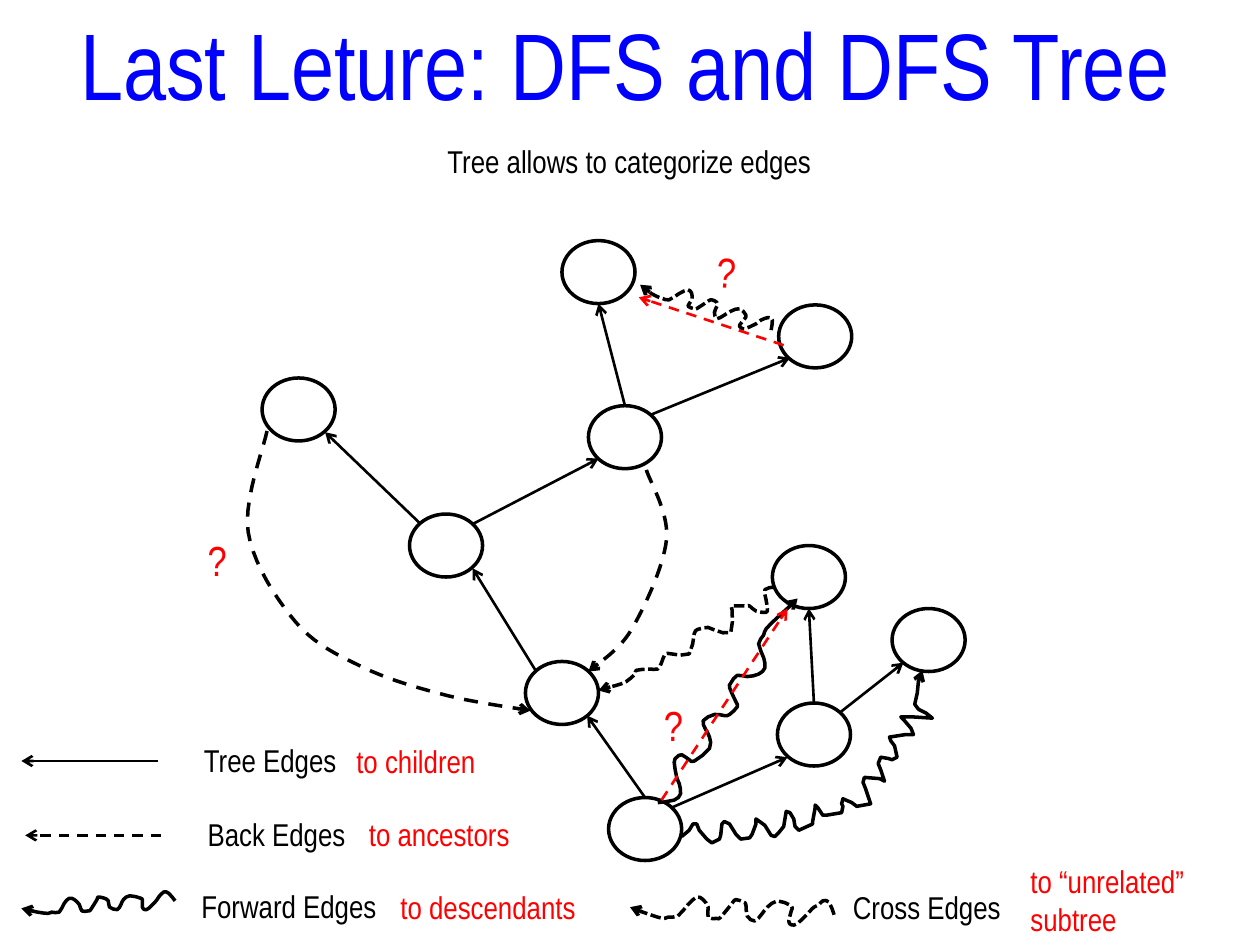
import math
from dataclasses import dataclass

import pptx
import pptx.dml.color
import pptx.enum.dml
import pptx.enum.shapes
import pptx.enum.text
import pptx.oxml
import pptx.oxml.ns
import pptx.util

Inches = pptx.util.Inches
RGB = pptx.dml.color.RGBColor
DASH = pptx.enum.dml.MSO_LINE.DASH
SHORT_DASH = pptx.enum.dml.MSO_LINE.SQUARE_DOT
CENTER = pptx.enum.text.PP_ALIGN.CENTER
Point = tuple[float, float]


@dataclass(frozen=True)
class Theme:
    font: str = "Arial Narrow"
    ink: RGB = RGB(0, 0, 0)
    title: RGB = RGB(0, 0, 255)
    accent: RGB = RGB(255, 0, 0)
    title_size: float = 54
    mark_size: float = 24
    body_size: float = 18
    edge: float = 1.5
    outline: float = 2


T = Theme()


@dataclass(frozen=True)
class Edge:
    start: Point
    end: Point
    color: RGB = T.ink
    dash: int | None = None


@dataclass(frozen=True)
class Curve:
    points: list[Point]
    dash: int | None = None
    rotation: float = 0


@dataclass(frozen=True)
class Label:
    text: str
    x: float
    y: float
    w: float
    h: float = 0.4
    color: RGB = T.ink
    size: float = T.body_size
    align: int | None = None
    rotation: float = 0


CURVE_POINTS = 60
NODE_W, NODE_H = 0.58, 0.5
NODES = [(4.83, 6.33), (4.17, 5.25), (3.25, 4.08), (2.08, 3), (4.67, 3.22),
         (6.18, 2.42), (4.46, 1.91), (6.17, 5.58), (7.08, 4.83), (6.13, 4.33)]

EDGES = [
    Edge((3.34, 4.16), (2.58, 3.43)), Edge((4.25, 5.32), (3.75, 4.51)),
    Edge((5.12, 6.33), (4.66, 5.68)), Edge((3.75, 4.16), (4.75, 3.64)),
    Edge((4.96, 3.22), (4.75, 2.41)), Edge((5.17, 3.29), (6.27, 2.84)),
    Edge((5.33, 6.41), (6.25, 6.01)), Edge((6.46, 5.58), (6.42, 4.83)),
    Edge((6.66, 5.66), (7.17, 5.26)),
    Edge((1.25, 6.04), (0.17, 6.04)), Edge((1.28, 6.63), (0.2, 6.63), dash=DASH),
    Edge((5.25, 6.35), (6.25, 4.83), T.accent, DASH),
    Edge((6.22, 2.74), (5.07, 2.36), T.accent, DASH),
]

BACK_LEFT = [(2.12, 3.42), (1.97, 4.22), (2.35, 4.94), (2.89, 5.3), (3.55, 5.52), (4.21, 5.64)]
BACK_RIGHT = [(5.13, 3.73), (5.29, 4.28), (5.01, 5), (4.67, 5.33)]
FORWARD_INNER = [
    (5.22, 6.37), (5.35, 6.35), (5.4, 6.3), (5.39, 6.22), (5.37, 6.17), (5.35, 6.05),
    (5.37, 6.01), (5.41, 5.99), (5.47, 6.03), (5.51, 6.04), (5.63, 5.94), (5.63, 5.85),
    (5.6, 5.79), (5.58, 5.72), (5.67, 5.67), (5.75, 5.68), (5.79, 5.67), (5.85, 5.61),
    (5.84, 5.57), (5.79, 5.46), (5.8, 5.42), (5.85, 5.36), (5.93, 5.37), (6.02, 5.35),
    (6.07, 5.3), (6.06, 5.22), (6.02, 5.11), (6.06, 5.04), (6.08, 4.99), (6.17, 4.9),
    (6.28, 4.8), (6.33, 4.75)]
FORWARD_OUTER = [
    (5.41, 6.64), (5.47, 6.59), (5.5, 6.54), (5.53, 6.54), (5.55, 6.59), (5.61, 6.66),
    (5.65, 6.69), (5.71, 6.66), (5.72, 6.63), (5.73, 6.54), (5.75, 6.52), (5.79, 6.54),
    (5.84, 6.62), (5.88, 6.66), (5.95, 6.65), (5.97, 6.62), (6, 6.54), (6, 6.5),
    (6.07, 6.55), (6.12, 6.63), (6.15, 6.64), (6.18, 6.61), (6.22, 6.56), (6.24, 6.44),
    (6.27, 6.45), (6.3, 6.5), (6.31, 6.56), (6.34, 6.59), (6.45, 6.54), (6.45, 6.52),
    (6.47, 6.41), (6.47, 6.39), (6.49, 6.41), (6.53, 6.47), (6.56, 6.47), (6.68, 6.45),
    (6.69, 6.4), (6.68, 6.38), (6.69, 6.34), (6.76, 6.37), (6.8, 6.4), (6.91, 6.38),
    (6.89, 6.32), (6.87, 6.26), (6.85, 6.21), (6.86, 6.17), (6.98, 6.18), (7.02, 6.2),
    (6.99, 6.11), (6.97, 6.06), (6.99, 6.01), (7.05, 6.02), (7.08, 6.03), (7.12, 6.01),
    (7.1, 5.92), (7.07, 5.88), (7.06, 5.85), (7.19, 5.83), (7.25, 5.83), (7.23, 5.78),
    (7.17, 5.71), (7.15, 5.69), (7.24, 5.69), (7.4, 5.7), (7.35, 5.66), (7.29, 5.63),
    (7.26, 5.59), (7.28, 5.5), (7.29, 5.4), (7.32, 5.32)]
FORWARD_KEY = [
    (1.39, 7.15), (1.34, 7.09), (1.3, 7.08), (1.26, 7.12), (1.24, 7.15), (1.18, 7.21),
    (1.15, 7.22), (1.13, 7.2), (1.13, 7.15), (1.12, 7.13), (1.03, 7.11), (0.98, 7.14),
    (0.96, 7.18), (0.93, 7.22), (0.87, 7.2), (0.86, 7.15), (0.83, 7.13), (0.78, 7.12),
    (0.77, 7.14), (0.72, 7.22), (0.7, 7.23), (0.65, 7.23), (0.63, 7.18), (0.59, 7.14),
    (0.55, 7.13), (0.51, 7.17), (0.47, 7.24), (0.41, 7.24), (0.38, 7.25), (0.3, 7.24),
    (0.21, 7.22), (0.17, 7.21)]
CROSS_LOWER = [
    (6.14, 4.66), (6.07, 4.68), (6.08, 4.76), (6.09, 4.83), (6.08, 4.86), (6, 4.85),
    (5.95, 4.81), (5.92, 4.81), (5.81, 4.81), (5.81, 4.84), (5.8, 5.02), (5.67, 5),
    (5.62, 4.98), (5.56, 4.99), (5.53, 5), (5.51, 5.03), (5.47, 5.19), (5.33, 5.19),
    (5.28, 5.19), (5.25, 5.26), (5.22, 5.31), (5.15, 5.31), (5.05, 5.32), (5.04, 5.35),
    (4.97, 5.41), (4.89, 5.44), (4.81, 5.46), (4.75, 5.48)]
CROSS_UPPER = [
    (6.12, 2.62), (6.13, 2.54), (6.1, 2.52), (6.04, 2.54), (6, 2.57), (5.91, 2.61),
    (5.88, 2.6), (5.87, 2.58), (5.91, 2.53), (5.92, 2.5), (5.87, 2.45), (5.8, 2.47),
    (5.75, 2.5), (5.69, 2.53), (5.67, 2.48), (5.69, 2.43), (5.69, 2.4), (5.65, 2.38),
    (5.62, 2.39), (5.53, 2.45), (5.51, 2.45), (5.46, 2.43), (5.49, 2.38), (5.49, 2.33),
    (5.46, 2.3), (5.39, 2.33), (5.31, 2.38), (5.26, 2.37), (5.23, 2.36), (5.17, 2.33),
    (5.11, 2.28), (5.08, 2.26)]
CROSS_KEY = [
    (6.62, 7.26), (6.58, 7.16), (6.53, 7.15), (6.5, 7.18), (6.46, 7.2), (6.42, 7.24),
    (6.33, 7.33), (6.28, 7.34), (6.26, 7.31), (6.28, 7.23), (6.28, 7.19), (6.17, 7.15),
    (6.09, 7.2), (6.05, 7.25), (5.99, 7.31), (5.93, 7.27), (5.92, 7.18), (5.9, 7.16),
    (5.84, 7.14), (5.81, 7.17), (5.72, 7.28), (5.69, 7.29), (5.62, 7.28), (5.62, 7.2),
    (5.58, 7.14), (5.53, 7.12), (5.46, 7.18), (5.38, 7.27), (5.3, 7.28), (5.26, 7.29),
    (5.16, 7.26), (5.05, 7.22), (5, 7.2)]

CURVES = [
    Curve(BACK_LEFT, DASH), Curve(BACK_RIGHT, DASH),
    Curve(FORWARD_INNER, rotation=143.9), Curve(FORWARD_OUTER),
    Curve(FORWARD_KEY, rotation=18.9), Curve(CROSS_LOWER, SHORT_DASH),
    Curve(CROSS_UPPER, SHORT_DASH, 51.4), Curve(CROSS_KEY, SHORT_DASH, 29),
]

LABELS = [
    Label("Last Leture: DFS and DFS Tree", 0.42, 0, 9.08, 1.01, T.title, T.title_size, CENTER),
    Label("Tree allows to categorize edges", 2.83, 1.08, 4.33, align=CENTER),
    Label("Tree Edges", 1.52, 5.83, 1.3),
    Label("to children", 2.73, 5.84, 1.67, color=T.accent),
    Label("Back Edges", 1.55, 6.42, 1.3),
    Label("to ancestors", 2.83, 6.42, 1.67, color=T.accent),
    Label("Forward Edges", 1.5, 6.99, 1.91),
    Label("to descendants", 3.08, 7, 3.66, color=T.accent),
    Label("Cross Edges", 6.67, 7, 1.91),
    Label("to “unrelated”\nsubtree", 8.08, 6.79, 1.92, 0.71, T.accent),
    Label("?", 1.55, 4.19, 0.58, 0.5, T.accent, T.mark_size),
    Label("?", 5.17, 5.5, 0.58, 0.5, T.accent, T.mark_size),
    Label("?", 5.59, 1.91, 0.53, 0.52, T.accent, T.mark_size, rotation=3.9),
]


def style_line(line, color: RGB, width: float, dash: int | None = None, arrow: bool = True) -> None:
    line.color.rgb = color
    line.width = pptx.util.Pt(width)
    if dash is not None:
        line.dash_style = dash
    if arrow:
        line.fill._xPr.append(pptx.oxml.parse_xml(
            f'<a:tailEnd {pptx.oxml.ns.nsdecls("a")} type="arrow"/>'))


def add_node(slide, at: Point) -> None:
    s = slide.shapes.add_shape(pptx.enum.shapes.MSO_SHAPE.OVAL,
                               *map(Inches, (*at, NODE_W, NODE_H)))
    s.shadow.inherit = False
    s.fill.background()
    style_line(s.line, T.ink, T.outline, arrow=False)


def add_edge(slide, edge: Edge) -> None:
    s = slide.shapes.add_connector(pptx.enum.shapes.MSO_CONNECTOR.STRAIGHT,
                                   *map(Inches, (*edge.start, *edge.end)))
    style_line(s.line, edge.color, T.edge, edge.dash)
    s._element.spPr.append(pptx.oxml.parse_xml(
        f'<a:effectLst {pptx.oxml.ns.nsdecls("a")}/>'))


def smooth(points: list[Point]) -> list[Point]:
    """Sample a Catmull-Rom spline, finer where the points are few."""
    steps = max(1, round(CURVE_POINTS / len(points)))
    ends = [points[0], *points, points[-1]]
    out = [points[0]]
    for a, b, c, d in zip(ends, ends[1:], ends[2:], ends[3:]):
        for t in (i / steps for i in range(1, steps + 1)):
            out.append(tuple(
                (2 * q + (r - p) * t + (2 * p - 5 * q + 4 * r - s) * t**2
                 + (3 * q - p - 3 * r + s) * t**3) / 2
                for p, q, r, s in zip(a, b, c, d)))
    return out


def turn(point: Point, degrees: float) -> Point:
    """Rotate a point clockwise about the slide's corner."""
    c, s = math.cos(math.radians(degrees)), math.sin(math.radians(degrees))
    return point[0] * c - point[1] * s, point[0] * s + point[1] * c


def add_curve(slide, curve: Curve) -> None:
    """Draw the curve in its own frame, then rotate it into place."""
    pts = [tuple(map(Inches, turn(p, -curve.rotation))) for p in smooth(curve.points)]
    builder = slide.shapes.build_freeform(*pts[0])
    builder.add_line_segments(pts[1:], close=False)
    s = builder.convert_to_shape()
    cx, cy = turn((s.left + s.width / 2, s.top + s.height / 2), curve.rotation)
    s.left, s.top = int(cx - s.width / 2), int(cy - s.height / 2)
    s.rotation = curve.rotation
    s.shadow.inherit = False
    s.fill.background()
    style_line(s.line, T.ink, T.outline, curve.dash)


def add_label(slide, label: Label) -> None:
    s = slide.shapes.add_textbox(*map(Inches, (label.x, label.y, label.w, label.h)))
    s.rotation = label.rotation
    tf = s.text_frame
    tf.word_wrap = True
    tf.auto_size = pptx.enum.text.MSO_AUTO_SIZE.SHAPE_TO_FIT_TEXT
    tf.text = label.text
    for p in tf.paragraphs:
        p.alignment = label.align
        p.font.name, p.font.size = T.font, pptx.util.Pt(label.size)
        p.font.color.rgb = label.color


def main() -> None:
    prs = pptx.Presentation()
    prs.slide_width, prs.slide_height = Inches(10), Inches(7.5)
    slide = prs.slides.add_slide(prs.slide_layouts[6])
    for draw, items in ((add_node, NODES), (add_curve, CURVES),
                        (add_edge, EDGES), (add_label, LABELS)):
        for item in items:
            draw(slide, item)
    prs.save("out.pptx")


if __name__ == "__main__":
    main()
